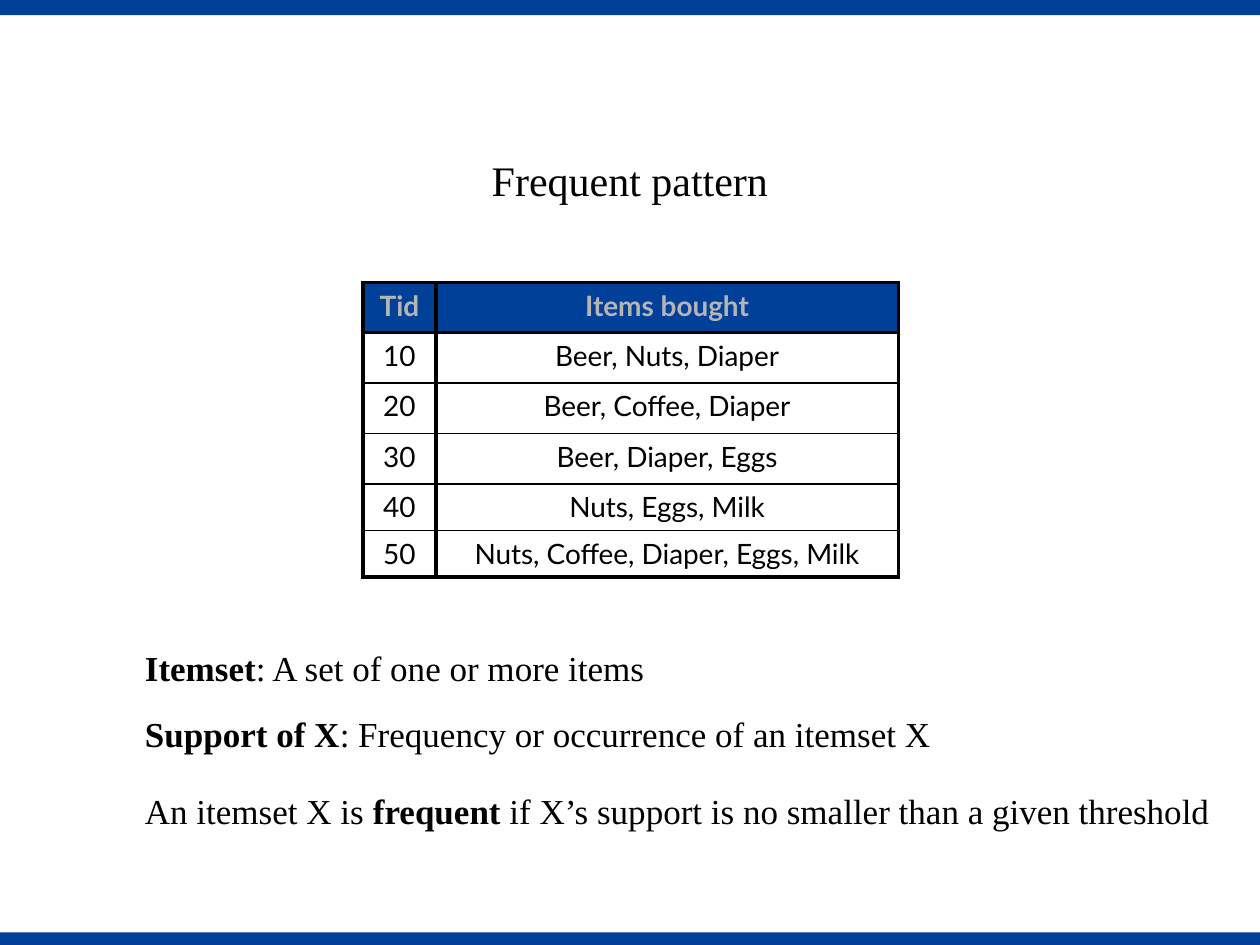
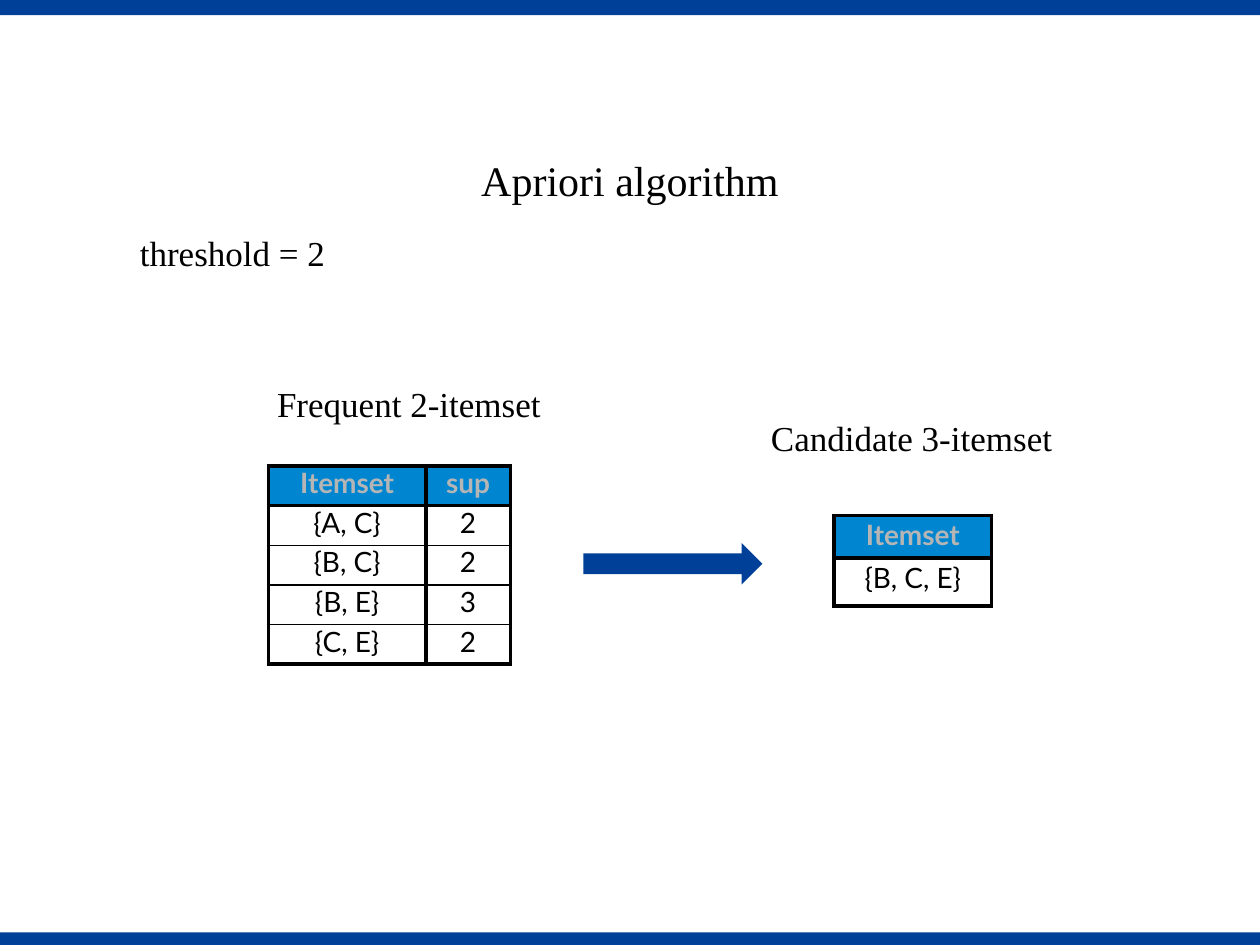
from dataclasses import dataclass
from typing import NamedTuple

import lxml.etree
import pptx
import pptx.dml.color
import pptx.enum.shapes
import pptx.enum.text
import pptx.oxml.ns
import pptx.presentation
import pptx.shapes.autoshape
import pptx.slide
import pptx.table
import pptx.text.text
import pptx.util


@dataclass(frozen=True)
class Theme:
    navy: str = "004098"
    sky: str = "0086D1"
    silver: str = "B5B5B6"
    black: str = "000000"
    serif: str = "Times New Roman"
    sans: str = "Lato"
    title_size: float = 24
    body_size: float = 20
    cell_size: float = 16
    heavy_rule: float = 2.25
    light_rule: float = 1


class Area(NamedTuple):
    left: float
    top: float
    width: float
    height: float


class Phrase(NamedTuple):
    text: str
    bold: bool = False


class Line(NamedTuple):
    phrases: tuple[Phrase, ...]
    before: float = 0
    spacing: float = 1


class Label(NamedTuple):
    text: str
    area: Area


class Grid(NamedTuple):
    left: float
    top: float
    columns: tuple[float, ...]
    rows: tuple[float, ...]
    cells: tuple[tuple[str, ...], ...]
    header_fill: str
    spacing: float


THEME = Theme()
SLIDE_WIDTH = pptx.util.Inches(10)
SLIDE_HEIGHT = pptx.util.Inches(7.5)
GRID_COLUMNS = 10
GRID_ROWS = 7.5
BANDS = (Area(0, 7.4, 10, 0.1), Area(0, 0, 10, 0.12))
TITLE_TOP, TITLE_HEIGHT = 1.18, 0.5

TRANSACTIONS = Grid(
    2.88, 2.24, (0.58, 3.67), (0.4,) * 4 + (0.37,) * 2,
    (
        ("Tid", "Items bought"),
        ("10", "Beer, Nuts, Diaper"),
        ("20", "Beer, Coffee, Diaper"),
        ("30", "Beer, Diaper, Eggs"),
        ("40", "Nuts, Eggs, Milk"),
        ("50", "Nuts, Coffee, Diaper, Eggs, Milk"),
    ),
    THEME.navy, 1,
)
DEFINITIONS = (
    Line((Phrase("Itemset", True), Phrase(": A set of one or more items")), 0, 0.9),
    Line((Phrase("Support of X", True),
          Phrase(": Frequency or occurrence of an itemset X")), 16, 0.9),
    Line((Phrase("An itemset X is "), Phrase("frequent", True),
          Phrase(" if X’s support is no smaller than a given threshold")), 22.5, 0.9),
)
FREQUENT_PAIRS = Grid(
    2.13, 3.7, (1.25, 0.67), (1.57 / 5,) * 5,
    (
        ("Itemset", "sup"),
        ("{A, C}", "2"),
        ("{B, C}", "2"),
        ("{B, E}", "3"),
        ("{C, E}", "2"),
    ),
    THEME.sky, 0.8,
)
CANDIDATE_TRIPLES = Grid(
    6.62, 4.09, (1.25,), (0.34, 0.38), (("Itemset",), ("{B, C, E}",)), THEME.sky, 0.9,
)
ITEMSET_LABELS = (
    Label("Frequent 2-itemset", Area(2.1, 2.99, 2.31, 0.44)),
    Label("Candidate 3-itemset", Area(6.02, 3.26, 2.45, 0.44)),
)
GENERATION_ARROW = Area(4.63, 4.31, 1.42, 0.33)


def across(columns: float) -> int:
    return round(SLIDE_WIDTH * columns / GRID_COLUMNS)


def down(rows: float) -> int:
    return round(SLIDE_HEIGHT * rows / GRID_ROWS)


def place(area: Area) -> tuple[int, int, int, int]:
    return across(area.left), down(area.top), across(area.width), down(area.height)


def rgb(colour: str) -> pptx.dml.color.RGBColor:
    return pptx.dml.color.RGBColor.from_string(colour)


def add_phrase(paragraph: pptx.text.text._Paragraph, phrase: Phrase, size: float,
               face: str = THEME.serif, colour: str = THEME.black) -> None:
    run = paragraph.add_run()
    run.text = phrase.text
    run.font.size = pptx.util.Pt(size)
    run.font.name = face
    run.font.bold = phrase.bold
    run.font.color.rgb = rgb(colour)


def prepare_frame(frame: pptx.text.text.TextFrame, wrap: bool) -> None:
    frame.word_wrap = wrap
    frame.auto_size = pptx.enum.text.MSO_AUTO_SIZE.NONE
    frame.vertical_anchor = pptx.enum.text.MSO_ANCHOR.TOP


def draw_solid(slide: pptx.slide.Slide, outline: pptx.enum.shapes.MSO_SHAPE,
               area: Area) -> pptx.shapes.autoshape.Shape:
    solid = slide.shapes.add_shape(outline, *place(area))
    solid.shadow.inherit = False
    solid.fill.solid()
    solid.fill.fore_color.rgb = rgb(THEME.navy)
    solid.line.fill.background()
    return solid


def add_master_bands(deck: pptx.presentation.Presentation, slide: pptx.slide.Slide) -> None:
    master_shapes = deck.slide_master.shapes
    for number, area in enumerate(BANDS, start=101):
        band = draw_solid(slide, pptx.enum.shapes.MSO_SHAPE.RECTANGLE, area)
        band.element.nvSpPr.cNvPr.set("id", str(number))
        master_shapes.element.insert(2, band.element)


def set_title(slide: pptx.slide.Slide, text: str, width: float) -> None:
    title = slide.shapes.title
    area = Area((GRID_COLUMNS - width) / 2, TITLE_TOP, width, TITLE_HEIGHT)
    title.left, title.top, title.width, title.height = place(area)
    prepare_frame(title.text_frame, False)
    heading = title.text_frame.paragraphs[0]
    heading.alignment = pptx.enum.text.PP_ALIGN.CENTER
    add_phrase(heading, Phrase(text), THEME.title_size)


def set_body(slide: pptx.slide.Slide, area: Area, lines: tuple[Line, ...]) -> None:
    body = slide.placeholders[1]
    body.left, body.top, body.width, body.height = place(area)
    prepare_frame(body.text_frame, True)
    for index, line in enumerate(lines):
        paragraph = body.text_frame.add_paragraph() if index else body.text_frame.paragraphs[0]
        paragraph.space_before = pptx.util.Pt(line.before)
        paragraph.line_spacing = line.spacing
        properties = paragraph._p.get_or_add_pPr()
        properties.set("marL", "0")
        properties.set("indent", "0")
        lxml.etree.SubElement(properties, pptx.oxml.ns.qn("a:buNone"))
        for phrase in line.phrases:
            add_phrase(paragraph, phrase, THEME.body_size)


def draw_label(slide: pptx.slide.Slide, label: Label) -> None:
    frame = slide.shapes.add_textbox(*place(label.area)).text_frame
    prepare_frame(frame, False)
    add_phrase(frame.paragraphs[0], Phrase(label.text), THEME.body_size)


def set_borders(cell: pptx.table._Cell, top: float, bottom: float) -> None:
    properties = cell._tc.get_or_add_tcPr()
    rules = {"lnL": THEME.heavy_rule, "lnR": THEME.heavy_rule, "lnT": top, "lnB": bottom}
    for index, (side, weight) in enumerate(rules.items()):
        rule = lxml.etree.Element(pptx.oxml.ns.qn(f"a:{side}"), w=str(pptx.util.Pt(weight)))
        ink = lxml.etree.SubElement(rule, pptx.oxml.ns.qn("a:solidFill"))
        lxml.etree.SubElement(ink, pptx.oxml.ns.qn("a:srgbClr"), val=THEME.black)
        properties.insert(index, rule)


def draw_table(slide: pptx.slide.Slide, grid: Grid) -> None:
    area = Area(grid.left, grid.top, sum(grid.columns), sum(grid.rows))
    table = slide.shapes.add_table(len(grid.rows), len(grid.columns), *place(area)).table
    table.horz_banding = False
    for column, width in zip(table.columns, grid.columns):
        column.width = across(width)
    last = len(grid.rows) - 1
    for index, (row, height, texts) in enumerate(zip(table.rows, grid.rows, grid.cells)):
        row.height = down(height)
        header = index == 0
        top = THEME.heavy_rule if index <= 1 else THEME.light_rule
        bottom = THEME.heavy_rule if index in (0, last) else THEME.light_rule
        for cell, text in zip(row.cells, texts):
            if header:
                cell.fill.solid()
                cell.fill.fore_color.rgb = rgb(grid.header_fill)
            else:
                cell.fill.background()
            set_borders(cell, top, bottom)
            entry = cell.text_frame.paragraphs[0]
            entry.alignment = pptx.enum.text.PP_ALIGN.CENTER
            entry.line_spacing = grid.spacing
            add_phrase(entry, Phrase(text, header), THEME.cell_size, THEME.sans,
                       THEME.silver if header else THEME.black)


def build_frequent_pattern(slide: pptx.slide.Slide) -> None:
    set_title(slide, "Frequent pattern", 2.41)
    draw_table(slide, TRANSACTIONS)
    set_body(slide, Area(1.05, 5.12, 8.74, 1.51), DEFINITIONS)


def build_apriori(slide: pptx.slide.Slide) -> None:
    set_title(slide, "Apriori algorithm", 2.58)
    set_body(slide, Area(1.01, 1.79, 1.8, 0.44), (Line((Phrase("threshold = 2"),)),))
    for label in ITEMSET_LABELS:
        draw_label(slide, label)
    draw_solid(slide, pptx.enum.shapes.MSO_SHAPE.RIGHT_ARROW, GENERATION_ARROW)
    for grid in (FREQUENT_PAIRS, CANDIDATE_TRIPLES):
        draw_table(slide, grid)


def main() -> None:
    deck = pptx.Presentation()
    deck.slide_width, deck.slide_height = SLIDE_WIDTH, SLIDE_HEIGHT
    title_and_content = deck.slide_layouts[1]
    frequent_pattern = deck.slides.add_slide(title_and_content)
    add_master_bands(deck, frequent_pattern)
    build_frequent_pattern(frequent_pattern)
    build_apriori(deck.slides.add_slide(title_and_content))
    deck.save("out.pptx")


if __name__ == "__main__":
    main()
